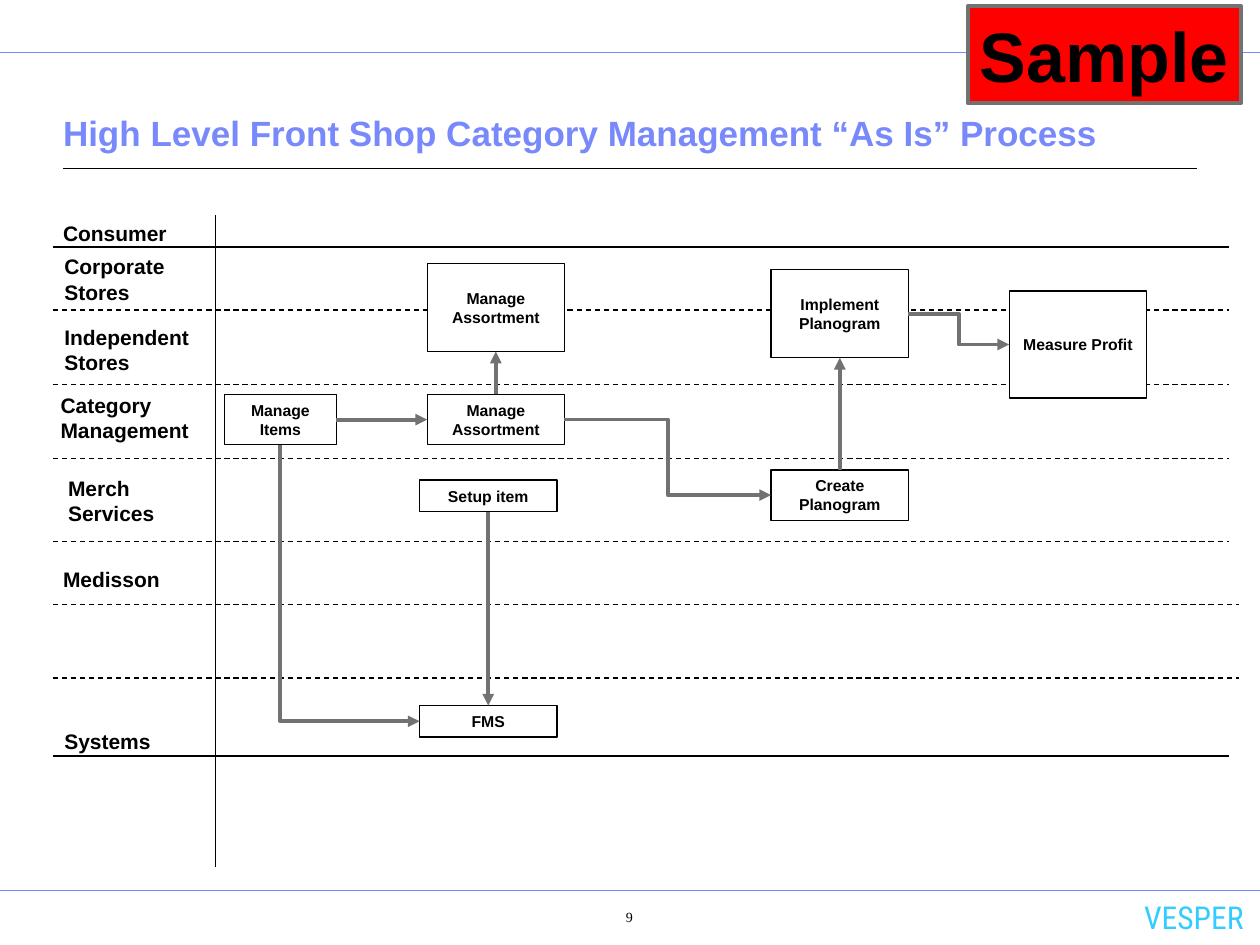
from lxml import etree
from pptx import Presentation
from pptx.dml.color import RGBColor
from pptx.enum.dml import MSO_LINE
from pptx.enum.shapes import MSO_CONNECTOR, MSO_SHAPE
from pptx.enum.text import MSO_ANCHOR, MSO_AUTO_SIZE, PP_ALIGN
from pptx.oxml.ns import qn
from pptx.util import Inches, Pt

BLACK = RGBColor(0x00, 0x00, 0x00)
WHITE = RGBColor(0xFF, 0xFF, 0xFF)
GRAY = RGBColor(0x72, 0x72, 0x72)
RED = RGBColor(0xFF, 0x00, 0x00)
PERIWINKLE = RGBColor(0x78, 0x89, 0xFB)
SKY = RGBColor(0x33, 0xCC, 0xFF)

STRAIGHT, ELBOW = MSO_CONNECTOR.STRAIGHT, MSO_CONNECTOR.ELBOW
LEFT, CENTER = PP_ALIGN.LEFT, PP_ALIGN.CENTER
TOP_SITE, LEFT_SITE, BOTTOM_SITE, RIGHT_SITE = range(4)


def write(shape, text, size=12, font="Arial", color=BLACK, bold=True, align=LEFT,
          anchor=MSO_ANCHOR.MIDDLE, wrap=True, insets=(0.1, 0.05, 0.1, 0.05)):
    """Fill a shape with text, one paragraph per line; insets are left, top, right, bottom."""
    frame = shape.text_frame
    frame.text = text
    frame.auto_size = MSO_AUTO_SIZE.NONE
    frame.word_wrap = wrap
    frame.vertical_anchor = anchor
    frame.margin_left, frame.margin_top, frame.margin_right, frame.margin_bottom = map(Inches, insets)
    for para in frame.paragraphs:
        para.alignment = align
        para.font.size = Pt(size)
        para.font.name = font
        para.font.bold = bold
        para.font.color.rgb = color


def add_line(x1, y1, x2, y2, kind=STRAIGHT, color=BLACK, width=0.75, dash=None):
    line = slide.shapes.add_connector(kind, Inches(x1), Inches(y1), Inches(x2), Inches(y2))
    line.line.color.rgb = color
    line.line.width = Pt(width)
    if dash:
        line.line.dash_style = dash
    etree.SubElement(line._element.spPr, qn("a:effectLst"))
    return line


deck = Presentation()
deck.slide_width, deck.slide_height = Inches(10), Inches(7.5)
slide = deck.slides.add_slide(deck.slide_layouts[5])

# Page frame and title
for y in (0.42, 7.07):
    add_line(0, y, 10, y, color=PERIWINKLE, width=0.5)
add_line(0.5, 1.34, 9.5, 1.34)

title = slide.shapes.title
title.left, title.top, title.width, title.height = map(Inches, (0.5, 0.64, 9, 0.63))
write(title, "High Level Front Shop Category Management “As Is” Process", size=20,
      color=PERIWINKLE, anchor=MSO_ANCHOR.BOTTOM, insets=(0, 0.05, 0, 0.05))

footer = slide.shapes.add_textbox(Inches(9.07), Inches(7.11), Inches(0.81), Inches(0.33))
write(footer, "VESPER", size=18, font="Roboto Condensed", color=SKY, bold=False,
      align=CENTER, wrap=False, insets=(0, 0.05, 0, 0.05))

page_number = slide.shapes.add_textbox(Inches(4.27), Inches(7.14), Inches(1.15), Inches(0.35))
write(page_number, "9", size=8, font="Times New Roman", bold=False, align=CENTER,
      anchor=MSO_ANCHOR.TOP, insets=(0.4, 0.07, 0.1, 0.05))

# Swimlanes
add_line(1.71, 1.71, 1.71, 6.88)
for y in (1.96, 6):
    add_line(0.42, y, 9.75, y)
for y, right in ((2.46, 9.75), (3.05, 9.75), (3.64, 9.75), (4.3, 9.75), (4.8, 9.83), (5.38, 9.83)):
    add_line(0.42, y, right, y, dash=MSO_LINE.DASH)

lanes = [
    ("Consumer", 0.41, 1.7, 0.3),
    ("Corporate\nStores", 0.42, 1.97, 0.49),
    ("Independent\nStores", 0.42, 2.53, 0.49),
    ("Category\nManagement", 0.39, 3.07, 0.49),
    ("Merch\nServices", 0.45, 3.73, 0.49),
    ("Medisson", 0.41, 4.45, 0.29),
    ("Systems", 0.42, 5.73, 0.3),
]
for text, left, top, height in lanes:
    label = slide.shapes.add_textbox(Inches(left), Inches(top), Inches(1.25), Inches(height))
    write(label, text, insets=(0.09, 0.05, 0, 0.05))

# Process steps
steps = {
    "items": ("Manage Items", 1.78, 3.13, 0.89, 0.4),
    "assortment": ("Manage Assortment", 3.39, 3.13, 1.09, 0.4),
    "setup": ("Setup item", 3.33, 3.81, 1.09, 0.25),
    "create": ("Create Planogram", 6.12, 3.73, 1.09, 0.4),
    "profit": ("Measure Profit", 8.01, 2.31, 1.09, 0.85),
    "store assortment": ("Manage Assortment", 3.39, 2.09, 1.09, 0.7),
    "implement": ("Implement Planogram", 6.12, 2.14, 1.09, 0.7),
    "fms": ("FMS", 3.33, 5.6, 1.09, 0.25),
}
boxes = {}
for key, (text, *place) in steps.items():
    box = slide.shapes.add_shape(MSO_SHAPE.FLOWCHART_PROCESS, *map(Inches, place))
    box.shadow.inherit = False
    box.fill.solid()
    box.fill.fore_color.rgb = WHITE
    box.line.color.rgb = BLACK
    box.line.width = Pt(0.75)
    write(box, text, size=9, align=CENTER)
    boxes[key] = box

# Arrows begin at the step they point to
arrows = [
    ("assortment", LEFT_SITE, "items", RIGHT_SITE, ELBOW),
    ("store assortment", BOTTOM_SITE, "assortment", TOP_SITE, STRAIGHT),
    ("create", LEFT_SITE, "assortment", RIGHT_SITE, ELBOW),
    ("implement", BOTTOM_SITE, "create", TOP_SITE, STRAIGHT),
    ("profit", LEFT_SITE, "implement", RIGHT_SITE, ELBOW),
    ("fms", LEFT_SITE, "items", BOTTOM_SITE, ELBOW),
    ("fms", TOP_SITE, "setup", BOTTOM_SITE, STRAIGHT),
]
for target, target_site, source, source_site, kind in arrows:
    arrow = add_line(0, 0, 1, 1, kind=kind, color=GRAY, width=2.25)
    arrow.begin_connect(boxes[target], target_site)
    arrow.end_connect(boxes[source], source_site)
    etree.SubElement(arrow.line._get_or_add_ln(), qn("a:headEnd"), type="triangle")
    if kind == ELBOW and source_site == BOTTOM_SITE:  # a single corner
        arrow._element.spPr.find(qn("a:prstGeom")).set("prst", "bentConnector2")

# Stamp
stamp = slide.shapes.add_shape(MSO_SHAPE.RECTANGLE, Inches(7.68), Inches(0.05), Inches(2.17), Inches(0.77))
stamp.shadow.inherit = False
stamp.fill.solid()
stamp.fill.fore_color.rgb = RED
stamp.line.color.rgb = GRAY
stamp.line.width = Pt(2.25)
write(stamp, "Sample", size=40, align=CENTER, wrap=False)

deck.save("out.pptx")
